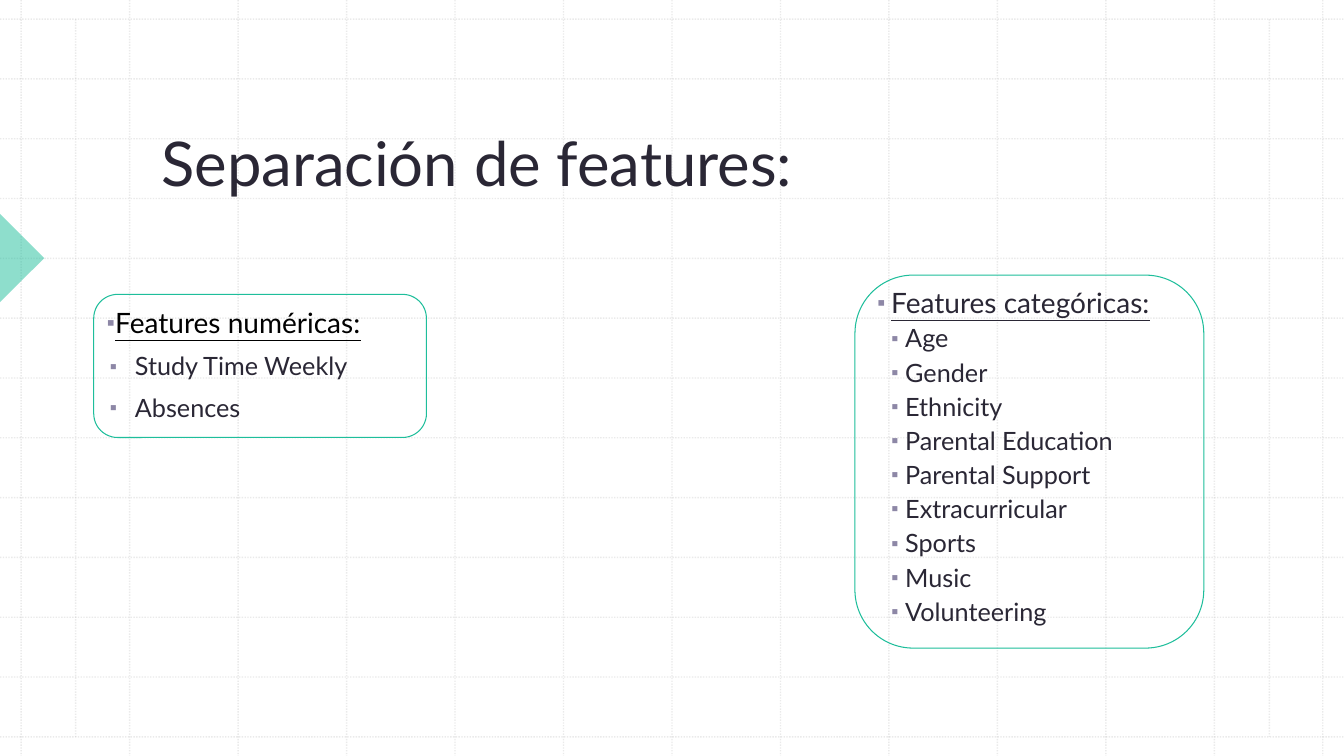
from lxml.etree import SubElement
from pptx import Presentation
from pptx.dml.color import RGBColor
from pptx.enum.dml import MSO_LINE_DASH_STYLE as DASH
from pptx.enum.shapes import MSO_CONNECTOR, MSO_SHAPE
from pptx.enum.text import MSO_ANCHOR, PP_ALIGN
from pptx.oxml.ns import qn
from pptx.util import Inches, Pt

WIDTH, HEIGHT = 13.33, 7.5
FONT = "Lato"
COLORS = {
    "grid": "BCBCBC",
    "accent": "1EBE9B",
    "text": "2A2735",
    "black": "000000",
    "bullet": "8D87A6",
    "background": "FFFFFF",
}
NUMERIC = ["Study Time Weekly", "Absences"]
CATEGORICAL = [
    "Age", "Gender", "Ethnicity", "Parental Education", "Parental Support",
    "Extracurricular", "Sports", "Music", "Volunteering",
]


def rgb(name):
    return RGBColor.from_string(COLORS[name])


def set_alpha(properties, percent):
    color = next(properties.iter(qn("a:srgbClr")))
    SubElement(color, qn("a:alpha"), val=str(percent * 1000))


def add_grid_line(group, x1, y1, x2, y2):
    line = group.shapes.add_connector(
        MSO_CONNECTOR.STRAIGHT, Inches(x1), Inches(y1), Inches(x2), Inches(y2))
    line.line.color.rgb = rgb("grid")
    line.line.width = Pt(1)
    line.line.dash_style = DASH.ROUND_DOT
    properties = line.element.spPr
    set_alpha(properties, 30)
    SubElement(properties, qn("a:effectLst"))


def add_grid(slide):
    first_x, last_x, first_y, last_y, steps = 0.21, 13.12, 0.19, 7.31, 12
    group = slide.shapes.add_group_shape()
    for step in range(steps + 1):
        x = first_x + step * (last_x - first_x) / steps
        y = first_y + step * (last_y - first_y) / steps
        add_grid_line(group, x, 0, x, HEIGHT)
        add_grid_line(group, 0, y, WIDTH, y)
    for x in (0.75, 12.59):
        add_grid_line(group, x, first_y, x, last_y)


def add_marker(slide):
    marker = slide.shapes.add_shape(
        MSO_SHAPE.RIGHT_TRIANGLE, Inches(-0.31), Inches(2.25), Inches(0.62), Inches(0.62))
    marker.rotation = 225
    marker.shadow.inherit = False
    marker.fill.solid()
    marker.fill.fore_color.rgb = rgb("accent")
    set_alpha(marker.element.spPr, 50)
    marker.line.fill.background()


def add_run(paragraph, text, size, color, underline=False):
    run = paragraph.add_run()
    run.text = text
    run.font.name = FONT
    run.font.size = Pt(size)
    run.font.color.rgb = rgb(color)
    run.font.underline = underline


def set_title(slide, text):
    title = slide.shapes.title
    slide.shapes.element.append(title.element)
    title.left, title.top = Inches(1.5), Inches(-0.04)
    title.width, title.height = Inches(9.13), Inches(2.06)
    frame = title.text_frame
    frame.word_wrap = True
    frame.vertical_anchor = MSO_ANCHOR.BOTTOM
    paragraph = frame.paragraphs[0]
    paragraph.alignment = PP_ALIGN.LEFT
    add_run(paragraph, text, 44, "text")


def add_bullet(paragraph, margin, indent):
    properties = paragraph._p.get_or_add_pPr()
    properties.set("marL", str(Inches(margin)))
    properties.set("indent", str(Inches(indent)))
    color = SubElement(properties, qn("a:buClr"))
    SubElement(color, qn("a:srgbClr"), val=COLORS["bullet"])
    SubElement(properties, qn("a:buSzPct"), val="75000")
    SubElement(properties, qn("a:buFont"), typeface=FONT)
    SubElement(properties, qn("a:buChar"), char="▪")


def add_feature_list(slide, box, heading, items, heading_color, heading_margin,
                     indent, line_spacing=1.0, before=0, after=0):
    frame = slide.shapes.add_textbox(*map(Inches, box)).text_frame
    frame.word_wrap = True
    for index, text in enumerate([heading] + items):
        paragraph = frame.add_paragraph() if index else frame.paragraphs[0]
        paragraph.level = 1 if index else 0
        add_bullet(paragraph, 0.28 if index else heading_margin, indent)
        paragraph.line_spacing = line_spacing
        paragraph.space_before = Pt(before if index else 0)
        paragraph.space_after = Pt(after)
        if index:
            add_run(paragraph, text, 18, "text")
        else:
            add_run(paragraph, text, 20, heading_color, underline=True)


def add_frame(slide, left, top, width, height):
    frame = slide.shapes.add_shape(
        MSO_SHAPE.ROUNDED_RECTANGLE, Inches(left), Inches(top), Inches(width), Inches(height))
    frame.shadow.inherit = False
    frame.fill.background()
    frame.line.color.rgb = rgb("accent")
    frame.line.width = Pt(0.75)


def main():
    presentation = Presentation()
    presentation.slide_width = Inches(WIDTH)
    presentation.slide_height = Inches(HEIGHT)
    slide = presentation.slides.add_slide(presentation.slide_layouts[5])
    slide.background.fill.solid()
    slide.background.fill.fore_color.rgb = rgb("background")

    add_grid(slide)
    add_marker(slide)
    set_title(slide, "Separación de features:")
    add_feature_list(slide, (0.96, 2.95, 4.42, 3.58), "Features numéricas:", NUMERIC,
                     "black", 0, -0.25, line_spacing=1.1, after=6)
    add_feature_list(slide, (8.6, 2.78, 4.22, 4.1), "Features categóricas:", CATEGORICAL,
                     "text", 0.14, -0.14, before=2.8)
    add_frame(slide, 0.93, 2.92, 3.3, 1.42)
    add_frame(slide, 8.48, 2.73, 3.46, 3.7)
    presentation.save("out.pptx")


if __name__ == "__main__":
    main()
